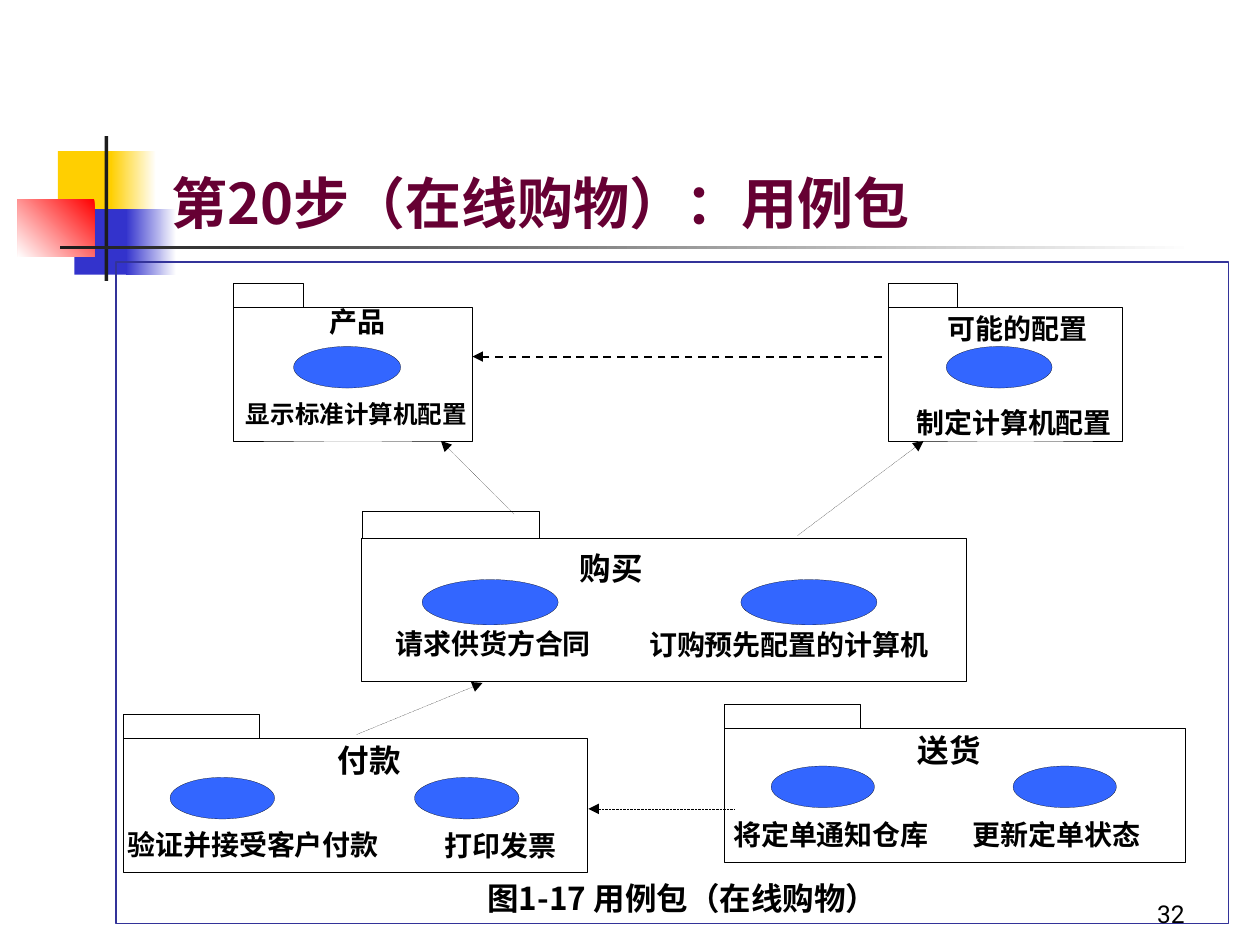
from pptx import Presentation, util as u
from pptx.dml.color import RGBColor
from pptx.enum import dml, shapes, text
from pptx.oxml.ns import qn
from lxml import etree

THEME = dict(
    title="660033", ink="000000", frame="333399", oval="3366FF", white="FFFFFF",
    yellow="FFCF01", blue="3333CC", red="FF0000", bar="1C1C1C",
    cjk="Noto Sans CJK SC", latin="Roboto",
    title_pt=32, head_pt=18, label_pt=16, small_pt=14, hair=0.11, dash=1.11)

prs = Presentation()
prs.slide_width, prs.slide_height = u.Inches(10), u.Inches(7.5)
s = prs.slides.add_slide(prs.slide_layouts[6])
# Grid of 100 columns by 75 rows
COL, ROW = prs.slide_width / 100, prs.slide_height / 75
ALIGN = text.PP_ALIGN


def add_shape(kind, x, y, w, h, fill=None, line=None, width=0.11, angle=0):
    """Preset shape on the grid; a pair of fill colours makes a gradient."""
    sp = s.shapes.add_shape(kind, int(x * COL), int(y * ROW), int(w * COL), int(h * ROW))
    sp.shadow.inherit = False
    if isinstance(fill, tuple):
        sp.fill.gradient()
        sp.fill.gradient_angle = angle
        for stop, colour in zip(sp.fill.gradient_stops, fill):
            stop.color.rgb = RGBColor.from_string(THEME[colour])
    elif fill:
        sp.fill.solid()
        sp.fill.fore_color.rgb = RGBColor.from_string(THEME[fill])
    else:
        sp.fill.background()
    if line:
        sp.line.color.rgb = RGBColor.from_string(THEME[line])
        sp.line.width = u.Pt(width)
    else:
        sp.line.fill.background()


def add_text(words, x, y, w, h, size="label_pt", font="latin", colour="ink",
             bold=True, align=ALIGN.CENTER, anchor=text.MSO_ANCHOR.TOP, wrap=True):
    """One-paragraph text box on the grid."""
    tf = s.shapes.add_textbox(int(x * COL), int(y * ROW), int(w * COL), int(h * ROW)).text_frame
    tf.word_wrap, tf.vertical_anchor = wrap, anchor
    p = tf.paragraphs[0]
    p.text, p.alignment = words, align
    p.font.size, p.font.bold = u.Pt(THEME[size]), bold
    p.font.color.rgb = RGBColor.from_string(THEME[colour])
    p.font.name = THEME[font]
    props = p._p.get_or_add_pPr().find(qn("a:defRPr"))
    etree.SubElement(props, qn("a:ea"), typeface=THEME["cjk"])


RECT, OVAL = shapes.MSO_SHAPE.RECTANGLE, shapes.MSO_SHAPE.OVAL

# Corner ornament and rule under the title
for box, fill, angle in [
    ((4.6, 12, 4.8, 5.2), "yellow", 0),
    ((8.8, 12, 3.6, 5.2), ("white", "yellow"), 180),
    ((5.9, 16.6, 4.6, 5.2), "blue", 0),
    ((10, 16.6, 4, 5.2), ("white", "blue"), 180),
    ((1.4, 15.8, 6.1, 4.6), ("red", "white"), 225),
    ((8.3, 10.8, 0.3, 11.5), "bar", 0),
    ((4.8, 19.5, 90, 0.3), ("white", "bar"), 180),
]:
    add_shape(RECT, *box, fill=fill, angle=angle)

# Title, diagram frame, caption
add_text("第20步（在线购物）：用例包", 12.6, 6.7, 85.2, 12.5, "title_pt", "cjk", "title",
         align=ALIGN.LEFT, anchor=text.MSO_ANCHOR.BOTTOM)
add_shape(RECT, 9.2, 20.8, 88.3, 52.5, line="frame", width=0.75)
add_text("图1-17 用例包（在线购物）", 27.5, 69.3, 53.3, 4, "head_pt", "cjk")

# Dependency arrows: from, to, line width
for x1, y1, x2, y2, width in [
    (70, 28.3, 37.5, 28.3, "dash"),
    (40.8, 40.8, 35, 35, "hair"),
    (28.3, 58.3, 38.3, 54.2, "hair"),
    (58.3, 64.2, 46.7, 64.2, "hair"),
    (63.3, 42.5, 73.3, 35, "hair"),
]:
    c = s.shapes.add_connector(shapes.MSO_CONNECTOR.STRAIGHT, int(x1 * COL), int(y1 * ROW),
                               int(x2 * COL), int(y2 * ROW))
    c.line.color.rgb = RGBColor.from_string(THEME["ink"])
    c.line.width = u.Pt(THEME[width])
    c.line.dash_style = dml.MSO_LINE.DASH
    etree.SubElement(c.line._get_or_add_ln(), qn("a:tailEnd"), type="triangle")
    etree.SubElement(c._element.spPr, qn("a:effectLst"))

# Packages: body, tab size, oval lefts, oval top and size
for (x, y, w, h), (tab_w, tab_h), lefts, (top, oval_w, oval_h) in [
    ((18.5, 24.4, 19, 10.6), (5.6, 1.9), [23.3], (27.5, 8.5, 3.3)),
    ((70.5, 24.4, 18.6, 10.6), (5.5, 1.9), [75.1], (27.5, 8.4, 3.3)),
    ((28.7, 42.7, 48, 11.4), (14.1, 2.1), [33.5, 58.8], (46, 10.8, 3.6)),
    ((9.8, 58.6, 36.8, 10.6), (10.8, 1.9), [13.5, 32.9], (61.7, 8.3, 3.3)),
    ((57.5, 57.8, 36.6, 10.6), (10.8, 1.9), [61.2, 80.4], (60.8, 8.2, 3.3)),
]:
    add_shape(RECT, x, y, w, h, line="ink")
    add_shape(RECT, x, y - tab_h, tab_w, tab_h, line="ink")
    for left in lefts:
        add_shape(OVAL, left, top, oval_w, oval_h, fill="oval", line="ink")

# Package names
for words, x, y, w, size in [
    ("产品", 19.2, 23.7, 18.3, "label_pt"),
    ("可能的配置", 70.5, 24.2, 20.5, "label_pt"),
    ("购买", 38.1, 43.1, 20.8, "head_pt"),
    ("付款", 17.8, 58.3, 23, "head_pt"),
    ("送货", 63.9, 57.5, 22.9, "head_pt"),
]:
    add_text(words, x, y, w, 4, size)

# Use case names
add_text("显示标准计算机配置", 16.1, 31.2, 24.4, 3.4, "small_pt")
for words, x, y, w, wrap in [
    ("制定计算机配置", 70.5, 31.7, 20, True),
    ("请求供货方合同", 30.4, 49.2, 17.5, False),
    ("订购预先配置的计算机", 49.2, 49.3, 26.8, True),
    ("验证并接受客户付款", 8.3, 65.2, 23.6, False),
    ("打印发票", 33.5, 65.3, 12.4, True),
    ("将定单通知仓库", 57.2, 64.4, 17.5, False),
    ("更新定单状态", 76.2, 64.4, 15.3, False),
]:
    add_text(words, x, y, w, 3.7, wrap=wrap)

# Page number
add_text("32", 74.2, 69.2, 20.8, 5, "small_pt", bold=False, align=ALIGN.RIGHT,
         anchor=text.MSO_ANCHOR.BOTTOM)

prs.save("out.pptx")
